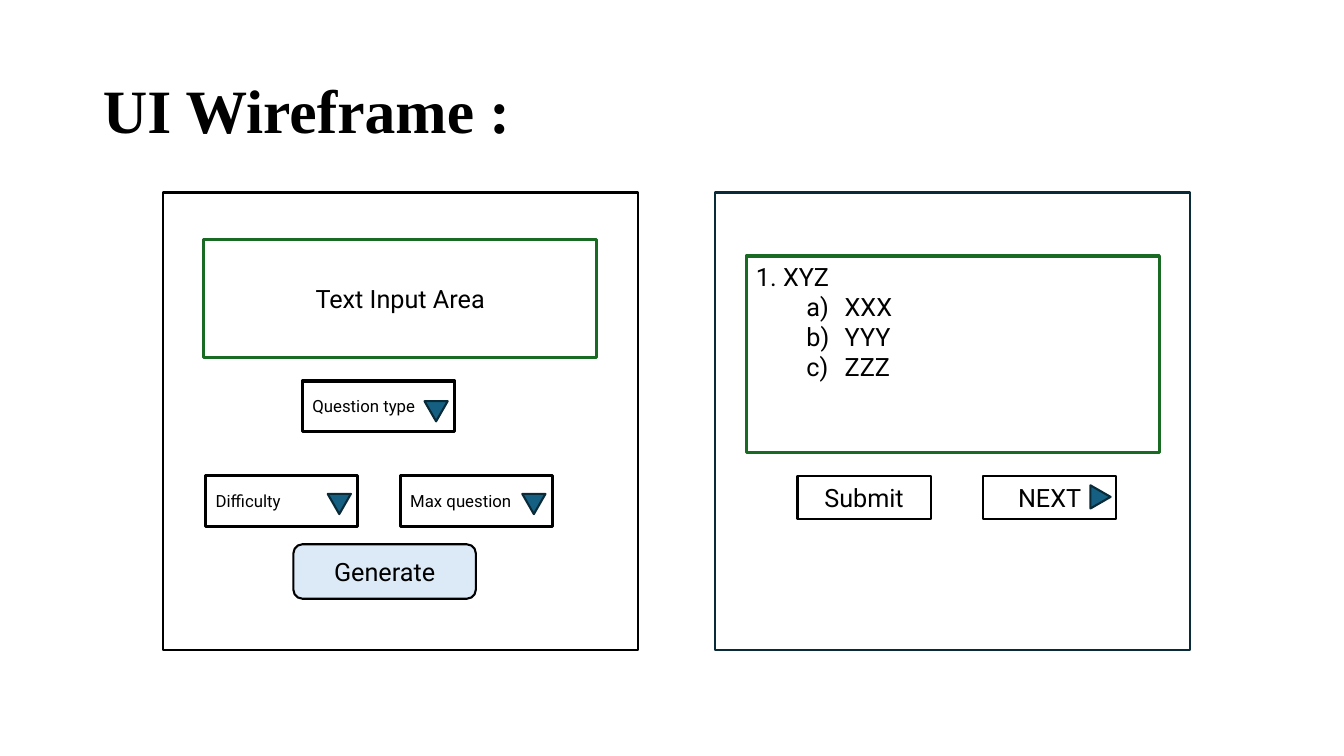
"""Build the UI wireframe slide with its input and quiz panels."""
from lxml.etree import SubElement
from pptx import Presentation
from pptx.dml.color import RGBColor
from pptx.enum.shapes import MSO_SHAPE
from pptx.enum.text import MSO_ANCHOR, MSO_AUTO_SIZE, PP_ALIGN
from pptx.oxml.ns import qn
from pptx.util import Pt

PX = 9144
BLACK = RGBColor(0x00, 0x00, 0x00)
WHITE = RGBColor(0xFF, 0xFF, 0xFF)
NAVY = RGBColor(0x09, 0x2A, 0x39)
GREEN = RGBColor(0x19, 0x6B, 0x24)
TEAL = RGBColor(0x15, 0x60, 0x82)
PALE = RGBColor(0xDC, 0xEA, 0xF7)


def apply(target, values):
    for name, value in values.items():
        setattr(target, name, value)


def place(shape, box):
    names = ("left", "top", "width", "height")
    apply(shape, {name: px * PX for name, px in zip(names, box)})


def style(para, size, face="Roboto", bold=False, align=PP_ALIGN.LEFT):
    para.alignment = align
    apply(para.font, {"name": face, "size": Pt(size), "bold": bold})
    para.font.color.rgb = BLACK


def add_box(slide, box, line=BLACK, width=1.5, fill=WHITE,
            kind=MSO_SHAPE.RECTANGLE):
    shape = slide.shapes.add_shape(kind, *(px * PX for px in box))
    shape.shadow.inherit = False
    shape.fill.solid()
    shape.fill.fore_color.rgb = fill
    shape.line.color.rgb = line
    shape.line.width = Pt(width)
    return shape


def add_label(shape, text, size=18, align=PP_ALIGN.CENTER):
    frame = shape.text_frame
    apply(frame, {"text": text, "word_wrap": True,
                  "vertical_anchor": MSO_ANCHOR.MIDDLE})
    style(frame.paragraphs[0], size, align=align)


def add_arrow(slide, left, top, turn):
    arrow = add_box(slide, (left, top, 23, 20), NAVY, fill=TEAL,
                    kind=MSO_SHAPE.ISOSCELES_TRIANGLE)
    arrow.rotation = turn


def add_menu(slide, left, top, text, arrow_top):
    menu = add_box(slide, (left, top, 151, 50), width=2.25)
    add_label(menu, text, 12, PP_ALIGN.LEFT)
    add_arrow(slide, left + 121, arrow_top, 180)


def add_quiz(slide, box, question, choices):
    frame = add_box(slide, box, GREEN, 2.25).text_frame
    apply(frame, {"text": "\n".join([question, *choices]), "word_wrap": True,
                  "vertical_anchor": MSO_ANCHOR.TOP})
    for para in frame.paragraphs:
        style(para, 18)
    for para in frame.paragraphs[1:]:
        para.level = 1
        props = para._p.get_or_add_pPr()
        props.set("marL", str(88 * PX))
        props.set("indent", str(-38 * PX))
        SubElement(props, qn("a:buFont"), typeface="+mj-lt")
        SubElement(props, qn("a:buAutoNum"), type="alphaLcParenR")


def add_title(slide, text):
    title = slide.shapes.title
    place(title, (92, 40, 1150, 145))
    apply(title.text_frame, {"text": text, "word_wrap": True,
                             "auto_size": MSO_AUTO_SIZE.NONE,
                             "vertical_anchor": MSO_ANCHOR.MIDDLE})
    para = title.text_frame.paragraphs[0]
    style(para, 44, "Times New Roman", True)
    para.line_spacing = 0.9


def main():
    deck = Presentation()
    apply(deck, {"slide_width": 1333 * PX, "slide_height": 750 * PX})
    slide = deck.slides.add_slide(deck.slide_layouts[5])
    add_title(slide, "UI Wireframe :")

    for left, line in ((162, BLACK), (709, NAVY)):
        add_box(slide, (left, 191, 471, 454), line)

    add_label(add_box(slide, (202, 238, 390, 117), GREEN, 2.25),
              "Text Input Area")
    for menu in ((300, 378, "Question type", 398),
                 (204, 472, "Difficulty", 490),
                 (397, 472, "Max question", 490)):
        add_menu(slide, *menu)
    add_label(add_box(slide, (291, 540, 181, 54), fill=PALE,
                      kind=MSO_SHAPE.ROUNDED_RECTANGLE), "Generate")

    add_quiz(slide, (740, 254, 410, 195), "1. XYZ", ("XXX", "YYY", "ZZZ"))
    for left, text in ((791, "Submit"), (975, "NEXT")):
        add_label(add_box(slide, (left, 472, 132, 43)), text)
    add_arrow(slide, 1080, 483, 90)

    deck.save("out.pptx")


if __name__ == "__main__":
    main()
